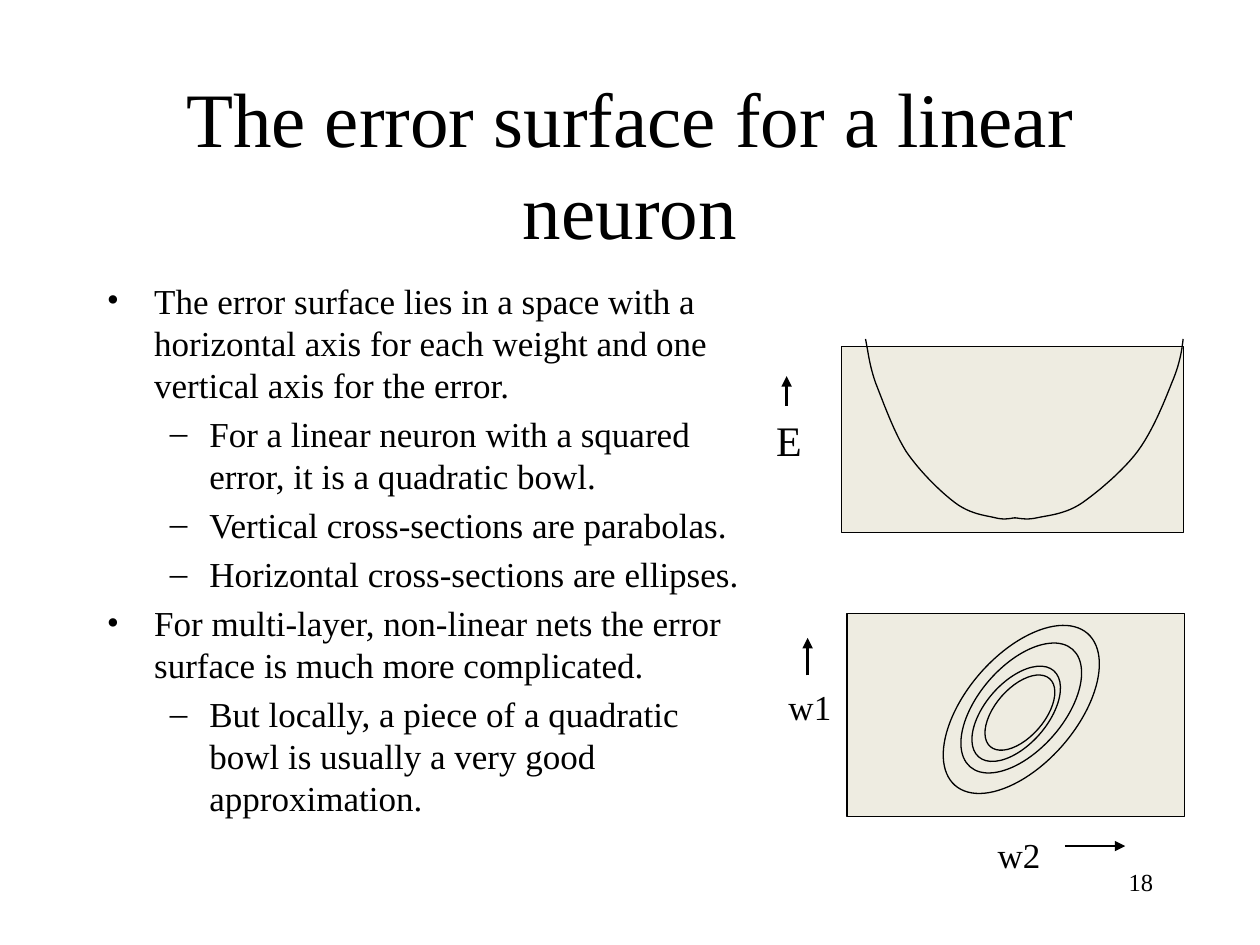
from dataclasses import dataclass

from lxml import etree
from pptx import Presentation
from pptx.dml.color import RGBColor
from pptx.enum import shapes as shp, text as txt
from pptx.oxml import ns
from pptx.util import Pt

BLACK = RGBColor(0x00, 0x00, 0x00)
CREAM = RGBColor(0xEE, 0xEC, 0xE1)
FONT = "Times New Roman"
TILT = 41.1
ELLIPSE_RATIO = 1.84
STEPS = 12


@dataclass
class Box:
    left: float
    top: float
    width: float
    height: float

    def lengths(self) -> tuple:
        return Pt(self.left), Pt(self.top), Pt(self.width), Pt(self.height)


@dataclass
class Label:
    text: str
    box: Box
    size: float
    align: txt.PP_ALIGN = txt.PP_ALIGN.LEFT
    wrap: bool = False


@dataclass
class Arrow:
    start: tuple
    end: tuple


@dataclass
class Contour:
    x: float
    y: float
    width: float


@dataclass
class Level:
    bullet: str
    margin: float
    hanging: float


LEVELS = [Level("•", 27, 27), Level("–", 58.5, 22.5)]
BODY = [
    (0, "The error surface lies in a space with a horizontal axis for each weight "
        "and one vertical axis for the error."),
    (1, "For a linear neuron with a squared error, it is a quadratic bowl."),
    (1, "Vertical cross-sections are parabolas."),
    (1, "Horizontal cross-sections are ellipses."),
    (0, "For multi-layer, non-linear nets the error surface is much more complicated."),
    (1, "But locally, a piece of a quadratic bowl is usually a very good approximation."),
]
LABELS = [
    Label("18", Box(516, 492, 150, 36), 14, txt.PP_ALIGN.RIGHT, True),
    Label("E", Box(436.5, 233.5, 31, 36), 24),
    Label("w1", Box(443.5, 388, 41, 32), 20),
    Label("w2", Box(563, 473, 41, 32), 20),
]
ARROWS = [
    Arrow((449.5, 232), (449.5, 215)),
    Arrow((461.5, 386), (461.5, 364.5)),
    Arrow((608.5, 483.5), (643, 483.5)),
]
PANELS = [Box(481, 198, 195.5, 106.5), Box(484, 350.5, 193, 116)]
CONTOURS = [
    Contour(583.6, 405.4, 62.6),
    Contour(583.6, 404.6, 48.4),
    Contour(580.7, 407.9, 35.5),
    Contour(582.8, 407.2, 28),
]
# Bezier control points: both halves of the parabola share their heights.
CURVE_Y = [193.7, 200.9, 208.8, 218.9, 229.7, 246.2, 257.8, 268.6,
           280.8, 287.3, 293.8, 294.5, 295.9, 297.4, 295.9, 295.9]
CURVE_X = [
    [494.6, 496.1, 496.8, 500.4, 504.7, 510.5, 517.7, 524.9,
     537.1, 545.8, 554.4, 563, 568.8, 574.6, 578.2, 580.3],
    [676.1, 675.4, 673.9, 669.6, 665.3, 658.8, 650.2, 642.2,
     627.8, 618.5, 609.1, 599, 592.6, 586.1, 581.8, 579.6],
]


def write(para, text: str, *, size: float, align=txt.PP_ALIGN.LEFT, color=BLACK) -> None:
    para.alignment = align
    span = para.add_run()
    span.text = text
    span.font.name = FONT
    span.font.size = Pt(size)
    span.font.color.rgb = color


def add_bullet(para, level: Level) -> None:
    props = para._p.get_or_add_pPr()
    props.set("marL", str(Pt(level.margin)))
    props.set("indent", str(-Pt(level.hanging)))
    etree.SubElement(props, ns.qn("a:buFont"), typeface=FONT)
    etree.SubElement(props, ns.qn("a:buChar"), char=level.bullet)


def add_text_frame(page, box: Box, wrap: bool):
    frame = page.shapes.add_textbox(*box.lengths()).text_frame
    frame.word_wrap = wrap
    return frame


def add_title(page, text: str, box: Box) -> None:
    title = page.shapes.title
    title.left, title.top, title.width, title.height = box.lengths()
    frame = title.text_frame
    frame.auto_size = txt.MSO_AUTO_SIZE.NONE
    frame.vertical_anchor = txt.MSO_ANCHOR.MIDDLE
    write(frame.paragraphs[0], text, size=44, align=txt.PP_ALIGN.CENTER)


def add_body(page, box: Box) -> None:
    frame = add_text_frame(page, box, True)
    for index, (depth, text) in enumerate(BODY):
        para = frame.add_paragraph() if index else frame.paragraphs[0]
        para.level = depth
        para.space_before = Pt(4)
        write(para, text, size=20)
        add_bullet(para, LEVELS[depth])


def add_label(page, label: Label) -> None:
    frame = add_text_frame(page, label.box, label.wrap)
    write(frame.paragraphs[0], label.text, size=label.size, align=label.align)


def outline(shape) -> None:
    shape.shadow.inherit = False
    shape.line.color.rgb = BLACK
    shape.line.width = Pt(0.75)


def add_filled(page, kind: shp.MSO_SHAPE, box: Box, rotation: float = 0) -> None:
    shape = page.shapes.add_shape(kind, *box.lengths())
    shape.rotation = rotation
    shape.fill.solid()
    shape.fill.fore_color.rgb = CREAM
    outline(shape)


def add_contour(page, ring: Contour) -> None:
    height = ring.width * ELLIPSE_RATIO
    box = Box(ring.x - ring.width / 2, ring.y - height / 2, ring.width, height)
    add_filled(page, shp.MSO_SHAPE.OVAL, box, TILT)


def bezier(controls: list, t: float) -> float:
    a, b, c, d = controls
    s = 1 - t
    return a * s**3 + 3 * b * s * s * t + 3 * c * s * t * t + d * t**3


def add_curve(page, xs: list, ys: list) -> None:
    points = [
        tuple(Pt(bezier(axis[i:i + 4], step / STEPS)) for axis in (xs, ys))
        for i in range(0, len(xs) - 1, 3)
        for step in range(1, STEPS + 1)
    ]
    builder = page.shapes.build_freeform(Pt(xs[0]), Pt(ys[0]))
    builder.add_line_segments(points, close=False)
    curve = builder.convert_to_shape()
    curve.fill.background()
    outline(curve)


def add_arrow(page, arrow: Arrow) -> None:
    ends = [Pt(value) for value in arrow.start + arrow.end]
    line = page.shapes.add_connector(shp.MSO_CONNECTOR.STRAIGHT, *ends)
    line.line.color.rgb = BLACK
    line.line.width = Pt(1.5)
    etree.SubElement(line.line._get_or_add_ln(), ns.qn("a:tailEnd"), type="triangle")
    etree.SubElement(line._element.spPr, ns.qn("a:effectLst"))


def main() -> None:
    deck = Presentation()
    deck.slide_width, deck.slide_height = Pt(720), Pt(540)
    page = deck.slides.add_slide(deck.slide_layouts[5])
    add_title(page, "The error surface for a linear neuron", Box(54, 48, 612, 90))
    add_body(page, Box(54, 156, 384, 324))
    for panel in PANELS:
        add_filled(page, shp.MSO_SHAPE.RECTANGLE, panel)
    for xs in CURVE_X:
        add_curve(page, xs, CURVE_Y)
    for label in LABELS:
        add_label(page, label)
    for arrow in ARROWS:
        add_arrow(page, arrow)
    for ring in CONTOURS:
        add_contour(page, ring)
    deck.save("out.pptx")


if __name__ == "__main__":
    main()
